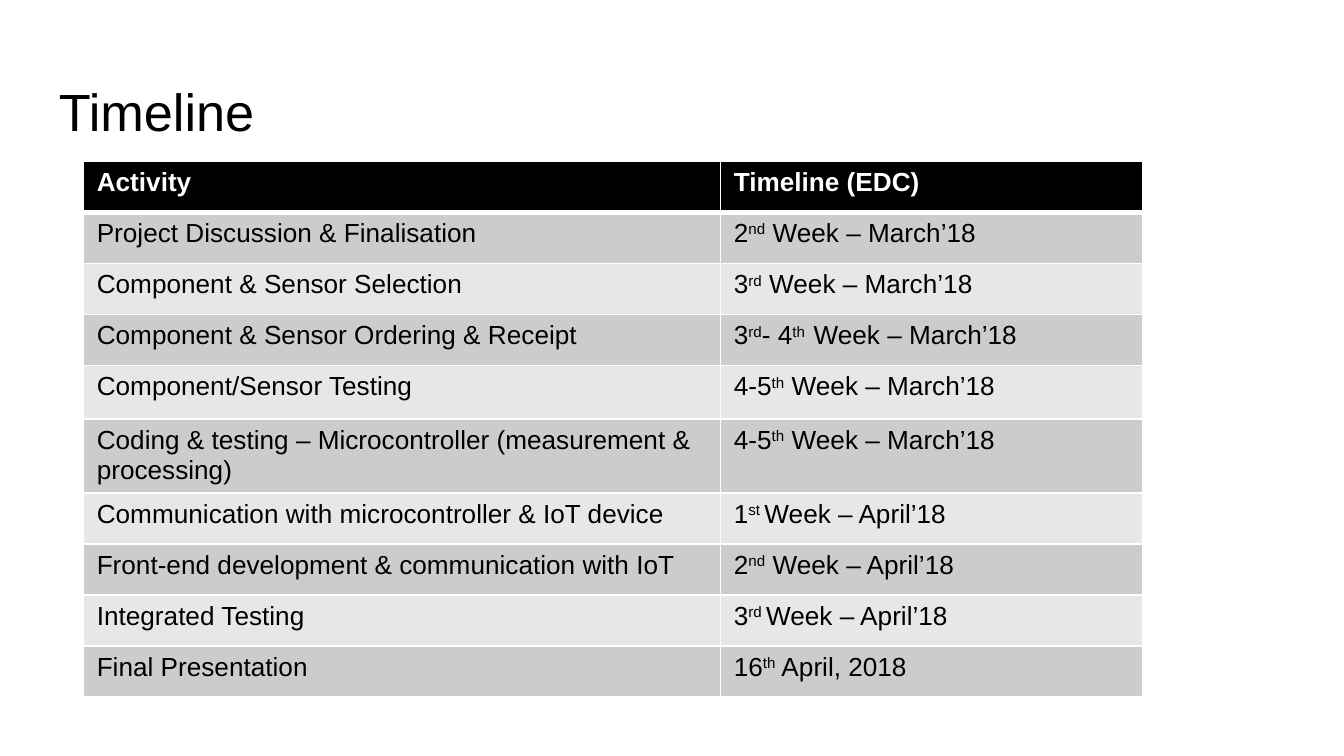
from lxml.etree import SubElement as Sub
from pptx import Presentation
from pptx.dml.color import RGBColor as RGB
from pptx.enum.text import MSO_ANCHOR as Anchor
from pptx.oxml.ns import qn
from pptx.util import Inches, Pt

WIDE = 10
HIGH = WIDE * 9 / 16
FONT = "Arial"
COLORS = {"ink": "000000", "paper": "FFFFFF", "odd": "CCCCCC", "even": "E7E7E7"}
COLS = [4.74, 3.14]
ROW = 0.38
TALL = {4: 0.4, 5: 0.53}
# Text between carets is raised.
ROWS = [
    ("Activity", "Timeline (EDC)"),
    ("Project Discussion & Finalisation", "2^nd^ Week – March’18"),
    ("Component & Sensor Selection", "3^rd^ Week – March’18"),
    ("Component & Sensor Ordering & Receipt", "3^rd^- 4^th  ^Week – March’18"),
    ("Component/Sensor Testing", "4-5^th^ Week – March’18"),
    ("Coding & testing – Microcontroller (measurement & processing)",
     "4-5^th^ Week – March’18"),
    ("Communication with microcontroller & IoT device", "1^st ^Week – April’18"),
    ("Front-end development & communication with IoT", "2^nd^ Week – April’18"),
    ("Integrated Testing", "3^rd ^Week – April’18"),
    ("Final Presentation", "16^th^ April, 2018"),
]


def color(name):
    return RGB.from_string(COLORS[name])


def add_runs(para, text, size, ink, bold=False):
    """Add text run by run; every second part between carets is superscript."""
    for i, part in enumerate(text.split("^")):
        run = para.add_run()
        run.text = part
        font = run.font
        font.name, font.size, font.bold = FONT, Pt(size), bold
        font.color.rgb = color(ink)
        if i % 2:
            font._element.set("baseline", "30000")


def add_title(slide, text):
    box = slide.shapes.add_textbox(Inches(0.34), Inches(0.49),
                                   Inches(WIDE - 2 * 0.34), Inches(0.63))
    frame = box.text_frame
    frame.word_wrap = True
    frame.vertical_anchor = Anchor.TOP
    frame.margin_left = frame.margin_right = Inches(0.1)
    frame.margin_top = frame.margin_bottom = Inches(0.1)
    add_runs(frame.paragraphs[0], text, 28, "ink")


def set_edge(cell, side, width):
    line = Sub(cell._tc.get_or_add_tcPr(), qn(f"a:ln{side}"), w=str(Pt(width)))
    fill = Sub(line, qn("a:solidFill"))
    Sub(fill, qn("a:srgbClr"), val=COLORS["paper"])


def fill_cell(cell, text, row):
    head = row == 0
    edges = {"L": 1, "R": 1, "T": 3 if row == 1 else 1, "B": 3 if head else 1}
    for side, width in edges.items():
        set_edge(cell, side, width)
    cell.fill.solid()
    cell.fill.fore_color.rgb = color("ink" if head else "odd" if row % 2 else "even")
    cell.margin_bottom = Inches(0.03)
    add_runs(cell.text_frame.paragraphs[0], text, 14,
             "paper" if head else "ink", head)


def add_plan(slide):
    highs = [TALL.get(i, ROW) for i in range(len(ROWS))]
    frame = slide.shapes.add_table(len(ROWS), len(COLS), Inches(0.62), Inches(1.2),
                                   Inches(sum(COLS)), Inches(sum(highs)))
    table = frame.table
    for col, width in zip(table.columns, COLS):
        col.width = Inches(width)
    for i, (high, texts) in enumerate(zip(highs, ROWS)):
        table.rows[i].height = Inches(high)
        for j, text in enumerate(texts):
            fill_cell(table.cell(i, j), text, i)


def main():
    deck = Presentation()
    deck.slide_width, deck.slide_height = Inches(WIDE), Inches(HIGH)
    slide = deck.slides.add_slide(deck.slide_layouts[6])
    add_title(slide, "Timeline")
    add_plan(slide)
    deck.save("out.pptx")


if __name__ == "__main__":
    main()
